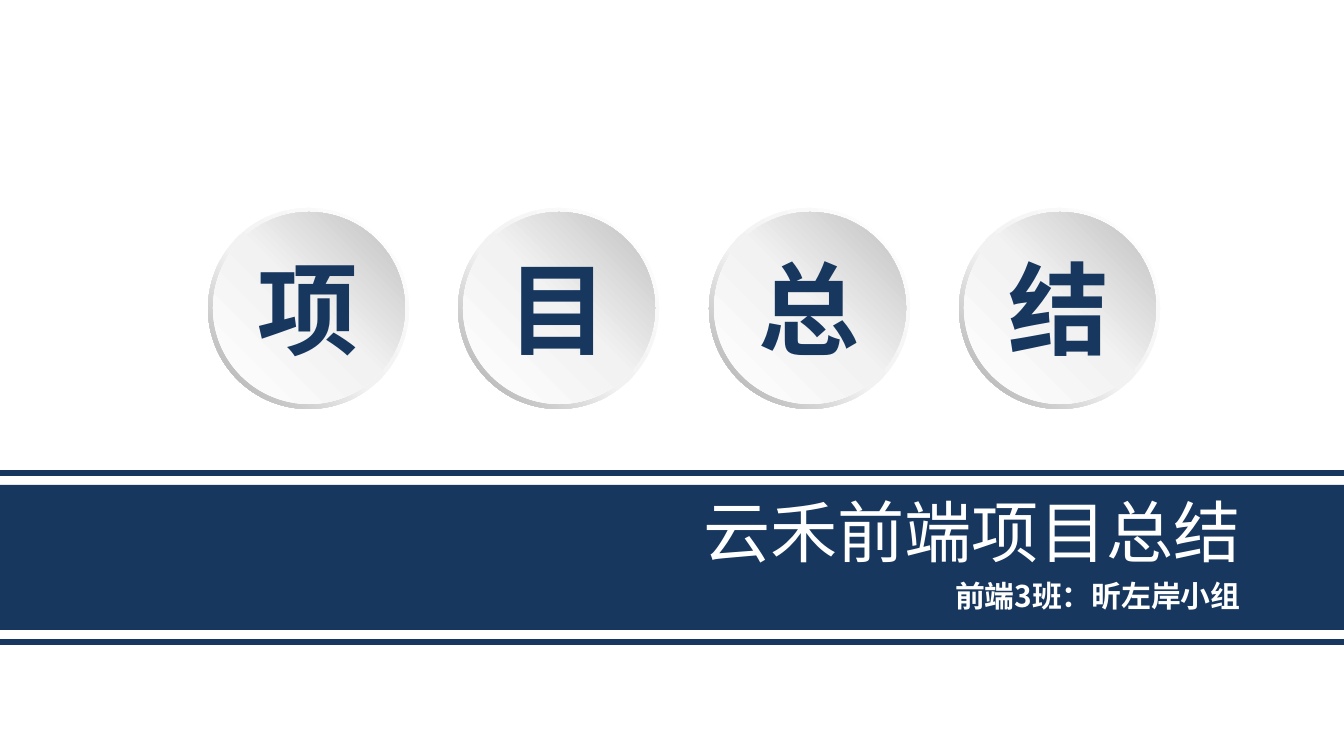
import copy
from dataclasses import dataclass

import lxml.etree
import pptx
import pptx.dml.color
import pptx.enum.shapes
import pptx.enum.text
import pptx.oxml.ns
import pptx.util

SLIDE_WIDTH, SLIDE_HEIGHT = 1344, 756
EMU_PER_PX = 9144000 / SLIDE_WIDTH
SHAPES = pptx.enum.shapes.MSO_SHAPE
ALIGN = pptx.enum.text.PP_ALIGN


@dataclass(frozen=True)
class Theme:
    """Colours, font and type sizes of the slide."""

    navy: str = "17375E"
    white: str = "FFFFFF"
    rim: tuple = ((0, "FFFFFF"), (0.55, "F2F2F2"), (1, "A6A6A6"))
    face: tuple = ((0, "FFFFFF"), (0.51, "F2F2F2"), (1, "BFBFBF"))
    font: str = "Noto Sans CJK SC"
    character_size: int = 54
    title_size: int = 36
    team_size: int = 16
    rule_width: int = 3


THEME = Theme()


def px(*lengths):
    """Turn pixel lengths into a list of EMU lengths."""
    return [pptx.util.Emu(round(length * EMU_PER_PX)) for length in lengths]


def rgb(value):
    """Return the colour object for a hex string."""
    return pptx.dml.color.RGBColor.from_string(value)


def add_plain_shape(shapes, kind, box):
    """Add a preset shape without outline or shadow."""
    shape = shapes.add_shape(kind, *px(*box))
    shape.shadow.inherit = False
    shape.line.fill.background()
    return shape


def fill_gradient(shape, stops, angle):
    """Fill a shape with a linear gradient of any number of stops."""
    shape.fill.gradient()
    shape.fill.gradient_angle = angle
    stop_list = shape._element.spPr.find(".//" + pptx.oxml.ns.qn("a:gsLst"))
    while len(stop_list) < len(stops):
        stop_list.append(copy.deepcopy(stop_list[0]))
    for stop, (position, color) in zip(shape.fill.gradient_stops, stops):
        stop.position = position
        stop.color.rgb = rgb(color)


def add_text(shapes, text, box, size, color, bold=False, align=None, wrap=True):
    """Add a text box holding one run."""
    text_box = shapes.add_textbox(*px(*box))
    frame = text_box.text_frame
    frame.word_wrap = wrap
    frame.auto_size = pptx.enum.text.MSO_AUTO_SIZE.SHAPE_TO_FIT_TEXT
    paragraph = frame.paragraphs[0]
    paragraph.alignment = align
    run = paragraph.add_run()
    run.text = text
    run.font.name = THEME.font
    run.font.size = pptx.util.Pt(size)
    run.font.bold = bold
    run.font.color.rgb = rgb(color)
    east_asian = lxml.etree.SubElement(run.font._element, pptx.oxml.ns.qn("a:ea"))
    east_asian.set("typeface", THEME.font)


def add_rule(shapes, y):
    """Draw a horizontal rule across the slide."""
    connector = shapes.add_connector(
        pptx.enum.shapes.MSO_CONNECTOR.STRAIGHT, *px(SLIDE_WIDTH, y, 0, y)
    )
    connector.line.color.rgb = rgb(THEME.navy)
    connector.line.width = pptx.util.Pt(THEME.rule_width)
    lxml.etree.SubElement(connector._element.spPr, pptx.oxml.ns.qn("a:effectLst"))


def add_badge(shapes, character, left, top):
    """Add a grouped round badge with one character."""
    group = shapes.add_group_shape().shapes
    rim = add_plain_shape(group, SHAPES.DONUT, (left, top, 201, 201))
    rim.adjustments[0] = 0.049
    fill_gradient(rim, THEME.rim, 225)
    face = add_plain_shape(group, SHAPES.OVAL, (left + 5, top + 4, 192, 192))
    fill_gradient(face, THEME.face, 45)
    add_text(group, character, (left + 36, top + 32, 129, 136),
             THEME.character_size, THEME.navy, bold=True, wrap=False)


def main():
    """Build the title slide and save it."""
    presentation = pptx.Presentation()
    presentation.slide_width, presentation.slide_height = px(SLIDE_WIDTH, SLIDE_HEIGHT)
    slide = presentation.slides.add_slide(presentation.slide_layouts[6])
    shapes = slide.shapes

    band = add_plain_shape(shapes, SHAPES.RECTANGLE, (0, 485, SLIDE_WIDTH, 145))
    band.fill.solid()
    band.fill.fore_color.rgb = rgb(THEME.navy)
    add_text(shapes, "前端3班：昕左岸小组", (375, 571, 879, 50),
             THEME.team_size, THEME.white, bold=True, align=ALIGN.RIGHT)
    add_text(shapes, "云禾前端项目总结", (375, 484, 879, 95),
             THEME.title_size, THEME.white, align=ALIGN.RIGHT)
    for y in (473, 642):
        add_rule(shapes, y)

    first_left, last_left = 208, 959
    characters = "项目总结"
    pitch = (last_left - first_left) / (len(characters) - 1)
    for index, character in enumerate(characters):
        add_badge(shapes, character, round(first_left + index * pitch), 208)

    presentation.save("out.pptx")


if __name__ == "__main__":
    main()
